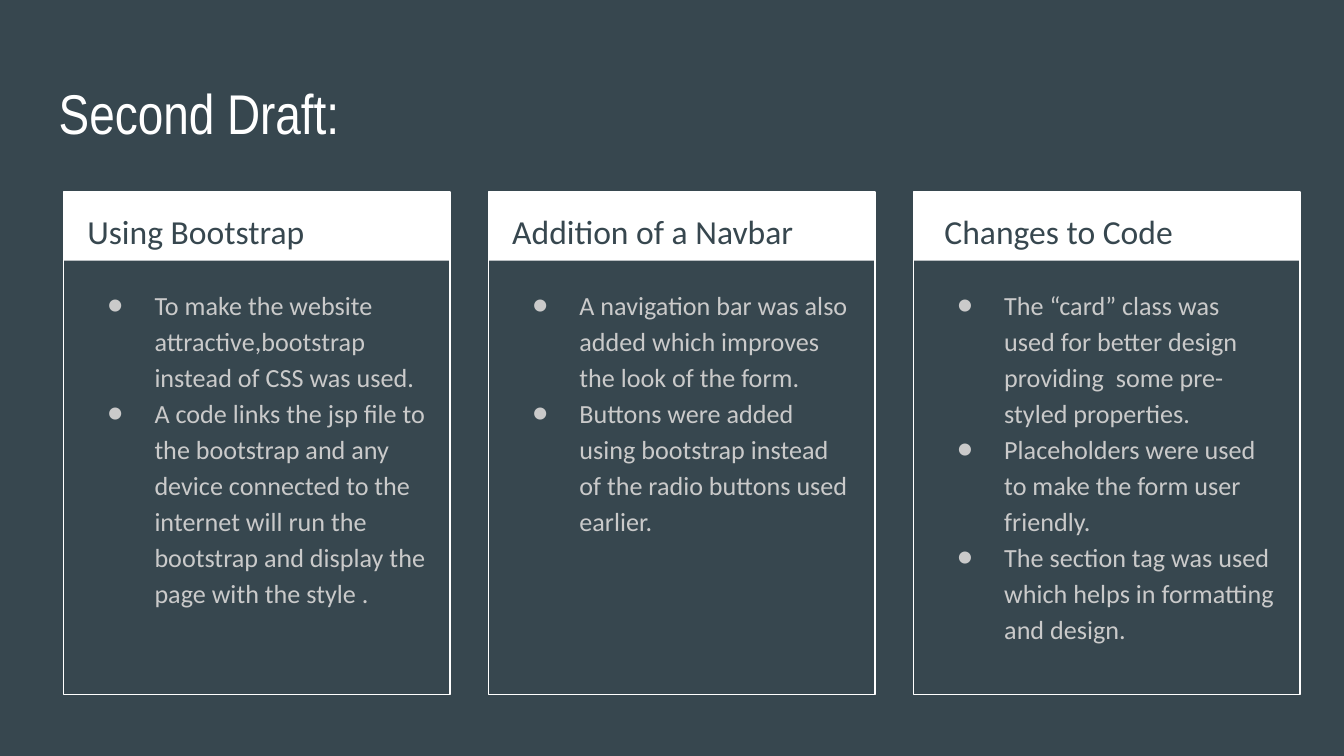
from dataclasses import dataclass

from lxml import etree
from pptx import Presentation
from pptx.dml.color import RGBColor
from pptx.enum.shapes import MSO_SHAPE
from pptx.enum.text import MSO_ANCHOR, MSO_AUTO_SIZE, PP_ALIGN
from pptx.oxml.ns import qn
from pptx.util import Cm, Pt

RECTANGLE = MSO_SHAPE.RECTANGLE
TOP = MSO_ANCHOR.TOP
NO_AUTOFIT = MSO_AUTO_SIZE.NONE
LEFT = PP_ALIGN.LEFT
COMPARISON_LAYOUT = 4


@dataclass(frozen=True)
class Theme:
    slate: str = "37474F"
    white: str = "FFFFFF"
    silver: str = "CACACA"
    title_font: str = "Arial Narrow"
    text_font: str = "Calibri"
    title_size: int = 30
    heading_size: int = 18
    list_size: int = 14
    line_spacing: float = 1.15
    inset: float = 0.25
    border: float = 0.75


class CardSlide:
    def __init__(self, deck, theme):
        self.theme = theme
        self.slide = deck.slides.add_slide(deck.slide_layouts[COMPARISON_LAYOUT])
        background = self.slide.background.fill
        background.solid()
        background.fore_color.rgb = RGBColor.from_string(theme.slate)
        self.bodies = iter(
            [p for p in self.slide.placeholders if p.placeholder_format.idx in range(1, 5)]
        )
        for footer in [p for p in self.slide.placeholders if p.placeholder_format.idx > 4]:
            footer.element.getparent().remove(footer.element)

    def place(self, holder, box):
        holder.left, holder.top, holder.width, holder.height = map(Cm, box)
        self.slide.shapes.element.append(holder.element)
        frame = holder.text_frame
        frame.word_wrap = True
        frame.auto_size = NO_AUTOFIT
        frame.vertical_anchor = TOP
        inset = Cm(self.theme.inset)
        frame.margin_left = frame.margin_right = inset
        frame.margin_top = frame.margin_bottom = inset
        return frame

    def format_text(self, paragraph, font, size, color, spacing=1.0):
        paragraph.alignment = LEFT
        paragraph.line_spacing = spacing
        paragraph.space_before = paragraph.space_after = Pt(0)
        for run in paragraph.runs:
            run.font.name = font
            run.font.size = Pt(size)
            run.font.bold = False
            run.font.color.rgb = RGBColor.from_string(color)

    def indent(self, paragraph, margin, first_line=0):
        properties = paragraph._p.get_or_add_pPr()
        properties.set("marL", str(Cm(margin)))
        properties.set("indent", str(Cm(first_line)))
        return properties

    def next_body(self, box):
        holder = next(self.bodies, None)
        if holder is None:
            holder = self.slide.shapes.add_textbox(*map(Cm, box))
        return self.place(holder, box)

    def title(self, text, box):
        frame = self.place(self.slide.shapes.title, box)
        frame.text = text
        theme = self.theme
        self.format_text(frame.paragraphs[0], theme.title_font, theme.title_size, theme.white)

    def panel(self, left, top, width, height, band_height):
        white = RGBColor.from_string(self.theme.white)
        group = self.slide.shapes.add_group_shape()
        band = group.shapes.add_shape(RECTANGLE, *map(Cm, (left, top, width, band_height)))
        band.shadow.inherit = False
        band.fill.solid()
        band.fill.fore_color.rgb = white
        band.line.fill.background()
        border = group.shapes.add_shape(RECTANGLE, *map(Cm, (left, top, width, height)))
        border.shadow.inherit = False
        border.fill.background()
        border.line.color.rgb = white
        border.line.width = Pt(self.theme.border)

    def heading(self, text, box, margin):
        frame = self.next_body(box)
        frame.text = text
        theme = self.theme
        paragraph = frame.paragraphs[0]
        self.indent(paragraph, margin)
        self.format_text(
            paragraph, theme.text_font, theme.heading_size, theme.slate, theme.line_spacing
        )

    def bullets(self, points, box):
        frame = self.next_body(box)
        frame.text = "\n".join(points)
        theme = self.theme
        for paragraph in frame.paragraphs:
            properties = self.indent(paragraph, 1.27, -0.89)
            bullet_color = etree.SubElement(properties, qn("a:buClr"))
            etree.SubElement(bullet_color, qn("a:srgbClr"), val=theme.silver)
            etree.SubElement(properties, qn("a:buFont"), typeface=theme.text_font)
            etree.SubElement(properties, qn("a:buChar"), char="●")
            self.format_text(
                paragraph, theme.text_font, theme.list_size, theme.silver, theme.line_spacing
            )


@dataclass(frozen=True)
class Card:
    heading: str
    points: tuple
    list_width: float = 6.88
    heading_margin: float = 0


CARDS = (
    Card(
        "Using Bootstrap",
        (
            "To make the website attractive,bootstrap instead of CSS was used.",
            "A code links the jsp file to the bootstrap and any device connected to the "
            "internet will run the bootstrap and display the page with the style .",
        ),
        list_width=7.31,
    ),
    Card(
        "Addition of a Navbar",
        (
            "A navigation bar was also added which improves the look of the form.",
            "Buttons were added using bootstrap instead of the radio buttons used earlier.",
        ),
    ),
    Card(
        "Changes to Code",
        (
            "The “card” class was used for better design providing  some "
            "pre-styled properties.",
            "Placeholders were used to make the form user friendly.",
            "The section tag was used which helps in formatting and design.",
        ),
        heading_margin=0.14,
    ),
)


def main():
    deck = Presentation()
    deck.slide_width, deck.slide_height = Cm(25.4), Cm(14.29)
    page = CardSlide(deck, Theme())
    page.title("Second Draft:", (0.86, 1.24, 23.67, 1.6))

    first_left, pitch, card_top, text_offset = 1.2, 8.03, 3.63, 0.2
    for column, card in enumerate(CARDS):
        left = first_left + column * pitch
        text_left = left + text_offset
        page.panel(left, card_top, 7.31, 9.5, 1.3)
        page.heading(card.heading, (text_left, card_top, 6.93, 1.27), card.heading_margin)
        page.bullets(card.points, (text_left, 5.13, card.list_width, 7.77))

    deck.save("out.pptx")


if __name__ == "__main__":
    main()
